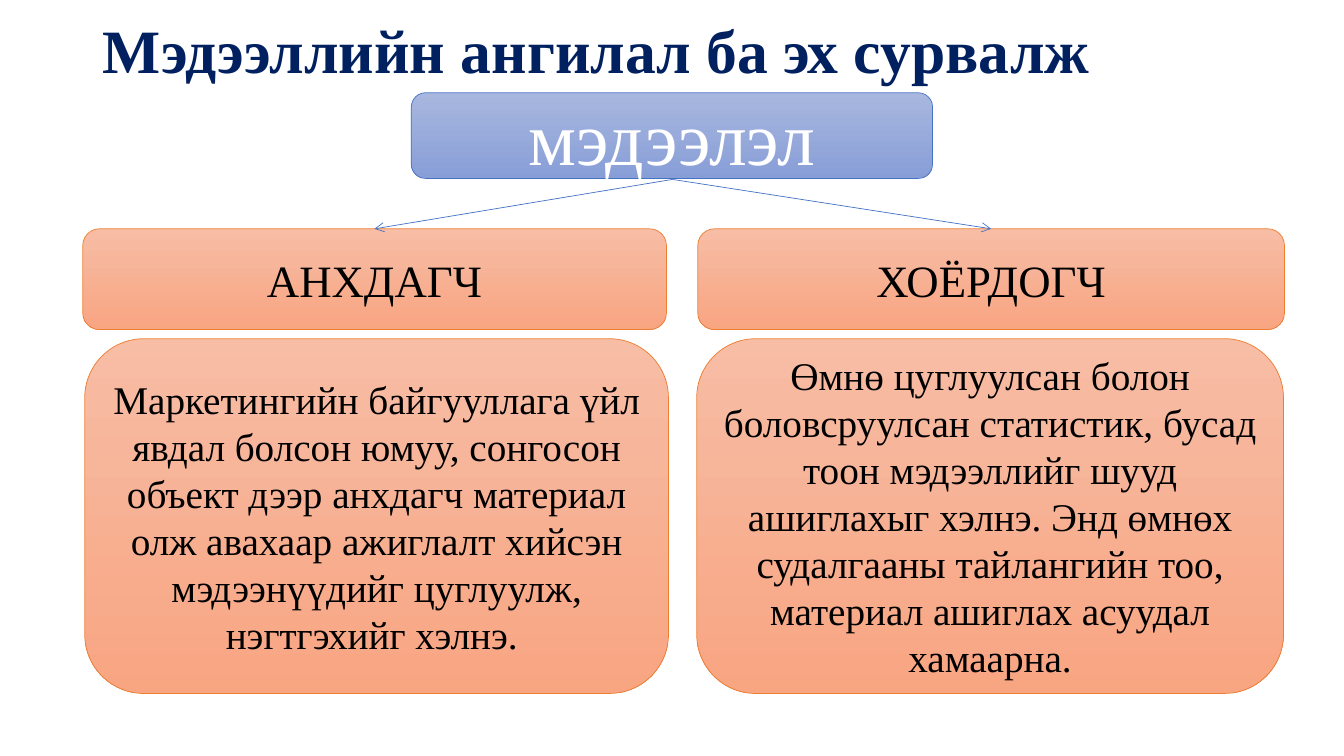
from lxml import etree
from pptx import Presentation
from pptx.dml.color import RGBColor
from pptx.enum import shapes, text
from pptx.oxml import ns
from pptx.util import Inches, Pt

COLORS = {
    "navy": "002060", "black": "000000", "white": "FFFFFF",
    "blue": "4472C4", "blue_top": "A8B7DF", "blue_bottom": "889ED7",
    "orange": "ED7D31", "orange_top": "F7BDA5", "orange_bottom": "F8A582",
}


def write(shape, words, size, color, align, bold=False):
    frame = shape.text_frame
    frame.word_wrap = True
    frame.vertical_anchor = text.MSO_ANCHOR.MIDDLE
    paragraph = frame.paragraphs[0]
    paragraph.text = words
    paragraph.alignment = align
    font = paragraph.font
    font.name, font.size, font.bold = "Times New Roman", Pt(size), bold
    font.color.rgb = RGBColor.from_string(COLORS[color])
    return paragraph


def add_box(bounds, hue, words, size, color):
    """Add a rounded box with a vertical gradient and centred text."""
    box = slide.shapes.add_shape(
        shapes.MSO_SHAPE.ROUNDED_RECTANGLE, *map(Inches, bounds))
    box.shadow.inherit = False
    box.fill.gradient()
    box.fill.gradient_angle = 270
    for stop, position, end in zip(box.fill.gradient_stops, (0, 1), ("top", "bottom")):
        stop.position = position
        stop.color.rgb = RGBColor.from_string(COLORS[f"{hue}_{end}"])
    box.line.color.rgb = RGBColor.from_string(COLORS[hue])
    box.line.width = Pt(0.5)
    write(box, words, size, color, text.PP_ALIGN.CENTER)


presentation = Presentation()
presentation.slide_width = Inches(13.33)
presentation.slide_height = Inches(7.5)
slide = presentation.slides.add_slide(presentation.slide_layouts[6])

title = slide.shapes.add_textbox(Inches(0.92), Inches(0.15), Inches(11.5), Inches(0.77))
heading = write(title, "Мэдээллийн ангилал ба эх сурвалж", 44, "navy",
                text.PP_ALIGN.LEFT, bold=True)
heading.line_spacing = 0.9

# Each branch: left of heading box, left of description box, width, heading, description
branches = [
    (0.82, 0.84, 5.79, "АНХДАГЧ",
     "Маркетингийн байгууллага үйл явдал болсон юмуу, сонгосон объект дээр "
     "анхдагч материал олж авахаар ажиглалт хийсэн мэдээнүүдийг цуглуулж, "
     "нэгтгэхийг хэлнэ. "),
    (6.92, 6.91, 5.82, "ХОЁРДОГЧ",
     "Өмнө цуглуулсан болон боловсруулсан статистик, бусад тоон мэдээллийг "
     "шууд ашиглахыг хэлнэ. Энд өмнөх судалгааны тайлангийн тоо, материал "
     "ашиглах асуудал хамаарна."),
]
for heading_left, description_left, width, name, description in branches:
    add_box((heading_left, 2.27, width, 1), "orange", name, 32, "black")
    add_box((description_left, 3.36, width, 3.52), "orange", description, 28, "black")

    arrow = slide.shapes.add_connector(
        shapes.MSO_CONNECTOR.STRAIGHT, Inches(6.67), Inches(1.78),
        Inches(heading_left + width / 2), Inches(2.27))
    arrow.line.color.rgb = RGBColor.from_string(COLORS["blue"])
    arrow.line.width = Pt(0.5)
    etree.SubElement(arrow.line._get_or_add_ln(), ns.qn("a:tailEnd"), type="arrow")
    etree.SubElement(arrow._element.spPr, ns.qn("a:effectLst"))

add_box((4.08, 0.92, 5.17, 0.85), "blue", "мэдээлэл", 54, "white")

presentation.save("out.pptx")
